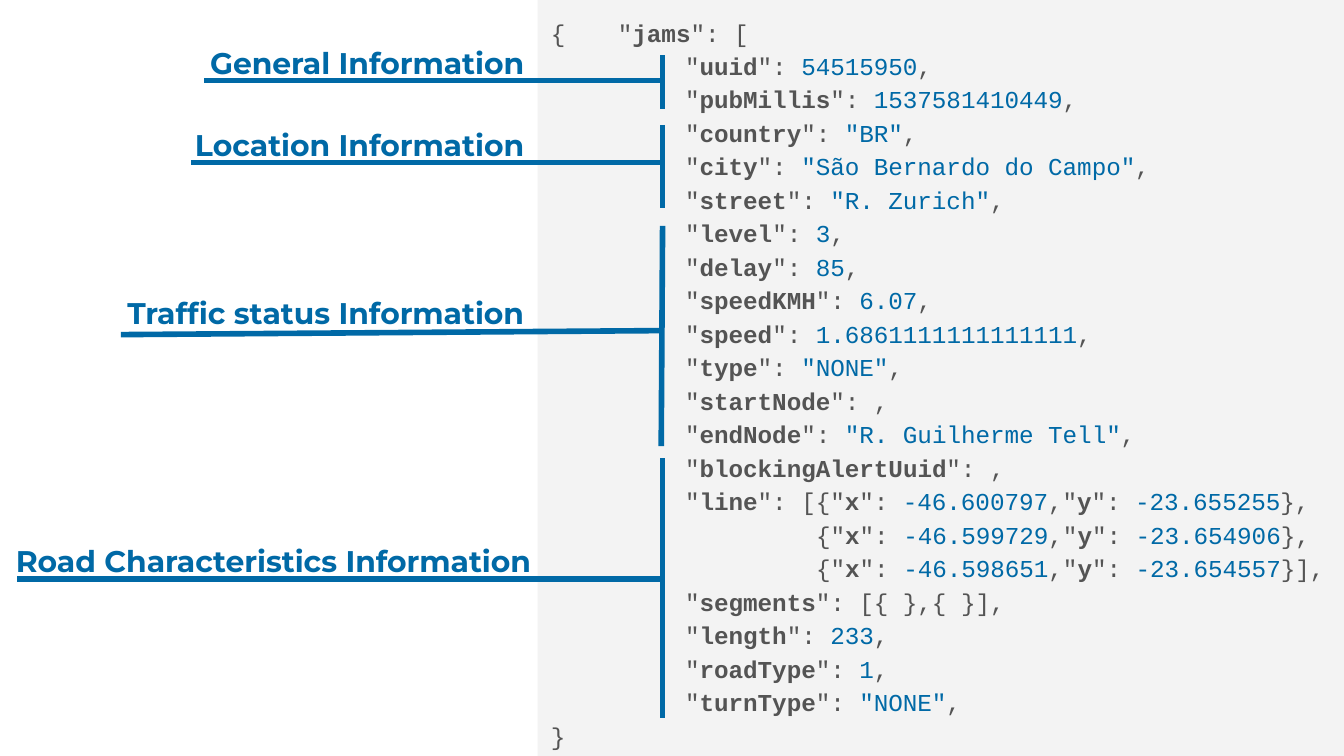
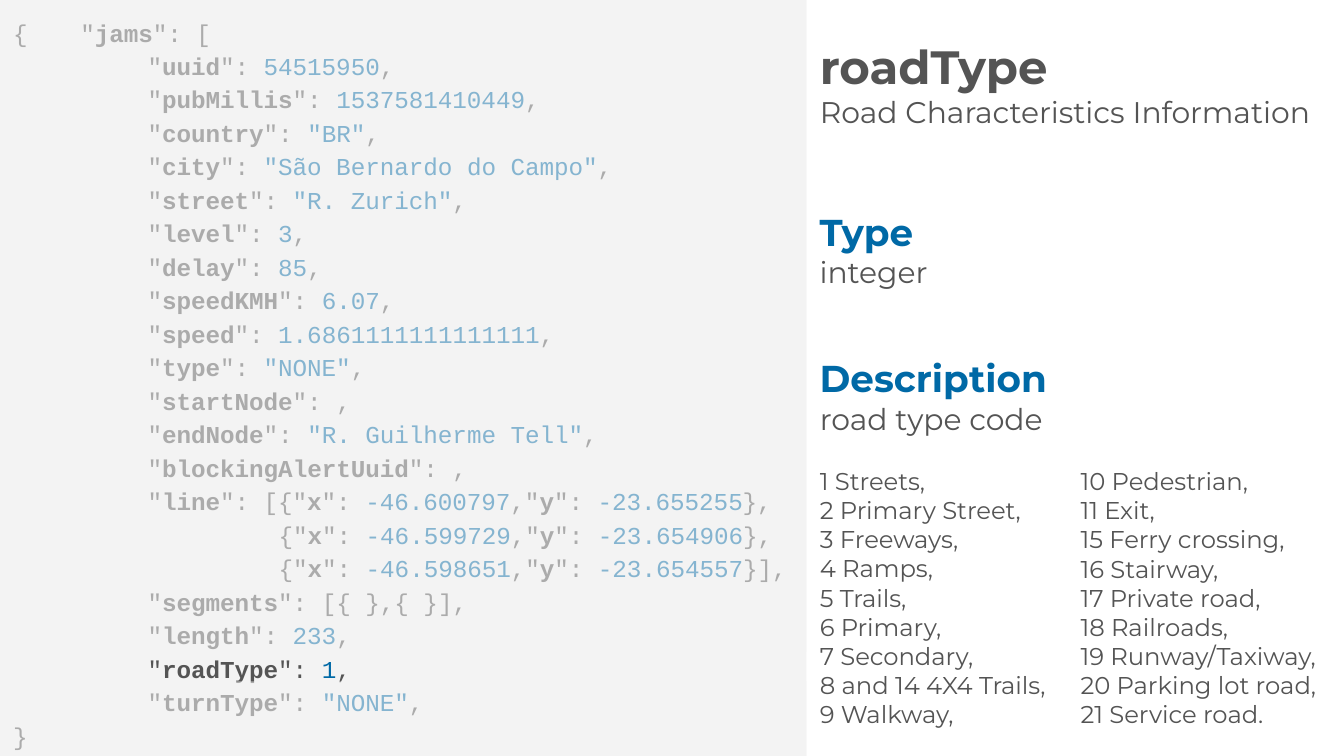
from lxml import etree
from pptx import Presentation
from pptx import util as u
from pptx.dml.color import RGBColor
from pptx.enum import shapes, text
from pptx.oxml.ns import qn

WIDTH, HEIGHT = 10, 5.625
BLUE, GREY, PANEL = "0069A6", "545454", "F3F3F3"
CODE_FONT, TEXT_FONT = "Courier New", "Montserrat"
PANEL_WIDTH = 0.6 * WIDTH
INSET = 0.1
CODE_SIZE = 13
CODE_ROW = 0.25
CODE_INDENT = 1
POINT_INDENT = CODE_INDENT + 9 * 0.6 * CODE_SIZE / 72  # nine characters further in

# In a code line, *...* is bold and ~...~ is a blue value.
POINTS = [("-46.600797", "-23.655255"), ("-46.599729", "-23.654906"), ("-46.598651", "-23.654557")]
FIELDS_BEFORE_LINE = [
    ("uuid", "~54515950~"), ("pubMillis", "~1537581410449~"),
    ("country", '~"BR"~'), ("city", '~"São Bernardo do Campo"~'), ("street", '~"R. Zurich"~'),
    ("level", "~3~"), ("delay", "~85~"), ("speedKMH", "~6.07~"), ("speed", "~1.6861111111111111~"),
    ("type", '~"NONE"~'), ("startNode", ""), ("endNode", '~"R. Guilherme Tell"~'),
    ("blockingAlertUuid", ""),
]
FIELDS_AFTER_LINE = [("segments", "[{ },{ }]"), ("length", "~233~"), ("roadType", "~1~"),
                     ("turnType", '~"NONE"~')]

BRACKET_X = 4.93
# label, alignment, label width, (rule start x, y), rule y at bracket, bracket top, bottom, foot x
SECTIONS = [
    ("General Information", "RIGHT", 3.98, (1.52, 0.6), 0.6, 0.41, 0.81, BRACKET_X),
    ("Location Information", "RIGHT", 3.98, (1.42, 1.21), 1.21, 0.93, 1.55, BRACKET_X),
    ("Traffic status Information", "RIGHT", 3.98, (0.9, 2.49), 2.46, 1.68, 3.32, 4.92),
    ("Road Characteristics Information", "LEFT", 4.07, (0.13, 4.31), 4.31, 3.41, 5.34, BRACKET_X),
]

FIELD_NAME, FIELD_SECTION = "roadType", "Road Characteristics Information"
CODES_LEFT = ["1 Streets,", "2 Primary Street,", "3 Freeways,", "4 Ramps,", "5 Trails,",
              "6 Primary,", "7 Secondary,", "8 and 14 4X4 Trails,", "9 Walkway,"]
CODES_RIGHT = ["10 Pedestrian,", "11 Exit,", "15 Ferry crossing,", "16 Stairway,",
               "17 Private road,", "18 Railroads,", "19 Runway/Taxiway,",
               "20 Parking lot road,", "21 Service road."]


def rgb(value):
    return RGBColor.from_string(value)


def write(paragraph, words, size=16, font=TEXT_FONT, color=GREY, bold=False,
          align="LEFT", before=0):
    """Add one formatted run to a paragraph."""
    paragraph.alignment = getattr(text.PP_ALIGN, align)
    paragraph.space_before = u.Pt(before)
    run = paragraph.add_run()
    run.text = words
    run.font.size, run.font.name, run.font.bold = u.Pt(size), font, bold
    run.font.color.rgb = rgb(color)


def paragraphs(frame, count):
    return [frame.paragraphs[0]] + [frame.add_paragraph() for _ in range(count - 1)]


def set_up(frame, anchor="TOP", top_inset=INSET):
    frame.word_wrap = True
    frame.auto_size = text.MSO_AUTO_SIZE.NONE
    frame.vertical_anchor = getattr(text.MSO_ANCHOR, anchor)
    frame.margin_left = frame.margin_right = frame.margin_bottom = u.Inches(INSET)
    frame.margin_top = u.Inches(top_inset)
    return frame


def place(placeholder, *box):
    placeholder.left, placeholder.top, placeholder.width, placeholder.height = map(u.Inches, box)
    return placeholder.text_frame


def text_box(slide, box, words, **style):
    frame = set_up(slide.shapes.add_textbox(*map(u.Inches, box)).text_frame)
    write(frame.paragraphs[0], words, **style)


def indent(paragraph, left):
    properties = paragraph._p.get_or_add_pPr()
    properties.set("marL", str(u.Inches(left)))
    properties.set("indent", "0")
    return properties


def panel(slide, left, top, width, height, opacity=100):
    shape = slide.shapes.add_shape(shapes.MSO_SHAPE.RECTANGLE,
                                   *map(u.Inches, (left, top, width, height)))
    shape.shadow.inherit = False
    shape.fill.solid()
    shape.fill.fore_color.rgb = rgb(PANEL)
    shape.line.fill.background()
    if opacity < 100:
        color = shape._element.spPr.find(qn("a:solidFill"))[0]
        etree.SubElement(color, qn("a:alpha")).set("val", str(opacity * 1000))
    return shape


def rule(slide, start, end):
    line = slide.shapes.add_connector(shapes.MSO_CONNECTOR.STRAIGHT,
                                      *map(u.Inches, start + end))
    line.line.color.rgb = rgb(BLUE)
    line.line.width = u.Pt(3)
    etree.SubElement(line._element.spPr, qn("a:effectLst"))


def code_lines():
    """Return (indent, marked-up line) for every row of the listing."""
    def fields(pairs):
        return [(CODE_INDENT, f'"*{name}*": {value},') for name, value in pairs]

    points = [f'{{"*x*": ~{x}~,"*y*": ~{y}~}}' for x, y in POINTS]
    return ([(0, '{\t"*jams*": [')]
            + fields(FIELDS_BEFORE_LINE)
            + [(CODE_INDENT, f'"*line*": [{points[0]},'),
               (POINT_INDENT, f"{points[1]},"),
               (POINT_INDENT, f"{points[2]}],")]
            + fields(FIELDS_AFTER_LINE)
            + [(0, "}")])


def code_panel(slide, left):
    frame = set_up(panel(slide, left, 0, PANEL_WIDTH, HEIGHT).text_frame)
    lines = code_lines()
    for paragraph, (left_indent, line) in zip(paragraphs(frame, len(lines)), lines):
        indent(paragraph, left_indent)
        paragraph.line_spacing = 1.15
        for i, part in enumerate(line.split("*")):
            for j, piece in enumerate(part.split("~")):
                if piece:
                    write(paragraph, piece, size=CODE_SIZE, font=CODE_FONT,
                          bold=i % 2 == 1, color=BLUE if j % 2 else GREY)


def code_list(placeholder, left, codes, top_inset=INSET, heading=None):
    frame = set_up(place(placeholder, left, 2.88, 2.02, 2.63), top_inset=top_inset)
    items = [(code, {"size": 13}) for code in codes]
    if heading:
        items[0][1]["before"] = 16
        items.insert(0, (heading, {"size": 16}))
    for paragraph, (words, style) in zip(paragraphs(frame, len(items)), items):
        write(paragraph, words, **style)
        etree.SubElement(indent(paragraph, 0), qn("a:buNone"))


def sections_slide(deck):
    slide = deck.slides.add_slide(deck.slide_layouts.get_by_name("Blank"))
    code_panel(slide, WIDTH - PANEL_WIDTH)
    for label, align, width, start, rule_y, top, bottom, foot_x in SECTIONS:
        text_box(slide, (0.02, rule_y - 0.37, width, 0.62), label,
                 color=BLUE, bold=True, align=align)
        rule(slide, (BRACKET_X, top), (foot_x, bottom))
        rule(slide, (BRACKET_X, rule_y), start)


def field_slide(deck):
    slide = deck.slides.add_slide(deck.slide_layouts.get_by_name("Two Content"))
    title, left_list, right_list = slide.placeholders
    code_panel(slide, 0)
    row = next(i for i, (_, line) in enumerate(code_lines()) if FIELD_NAME in line)
    row_top = INSET + row * CODE_ROW
    row_bottom = row_top + 0.22
    panel(slide, 0, 0, PANEL_WIDTH, row_top, opacity=55)
    panel(slide, 0, row_bottom, PANEL_WIDTH, HEIGHT - row_bottom, opacity=55)

    heading = set_up(place(title, PANEL_WIDTH, 0.16, WIDTH - PANEL_WIDTH, 0.92), anchor="MIDDLE")
    name, section = paragraphs(heading, 2)
    write(name, FIELD_NAME, size=25, bold=True)
    write(section, FIELD_SECTION)
    for label, top in (("Type", 1.46), ("Description", 2.54)):
        text_box(slide, (PANEL_WIDTH, top, 1.93, 0.5), label, size=20, color=BLUE, bold=True)
    text_box(slide, (PANEL_WIDTH, 1.79, 3.6, 0.87), "integer")
    code_list(left_list, PANEL_WIDTH, CODES_LEFT, heading="road type code")
    code_list(right_list, 7.94, CODES_RIGHT, top_inset=0.59)


def main():
    deck = Presentation()
    deck.slide_width, deck.slide_height = u.Inches(WIDTH), u.Inches(HEIGHT)
    sections_slide(deck)
    field_slide(deck)
    deck.save("out.pptx")


if __name__ == "__main__":
    main()
